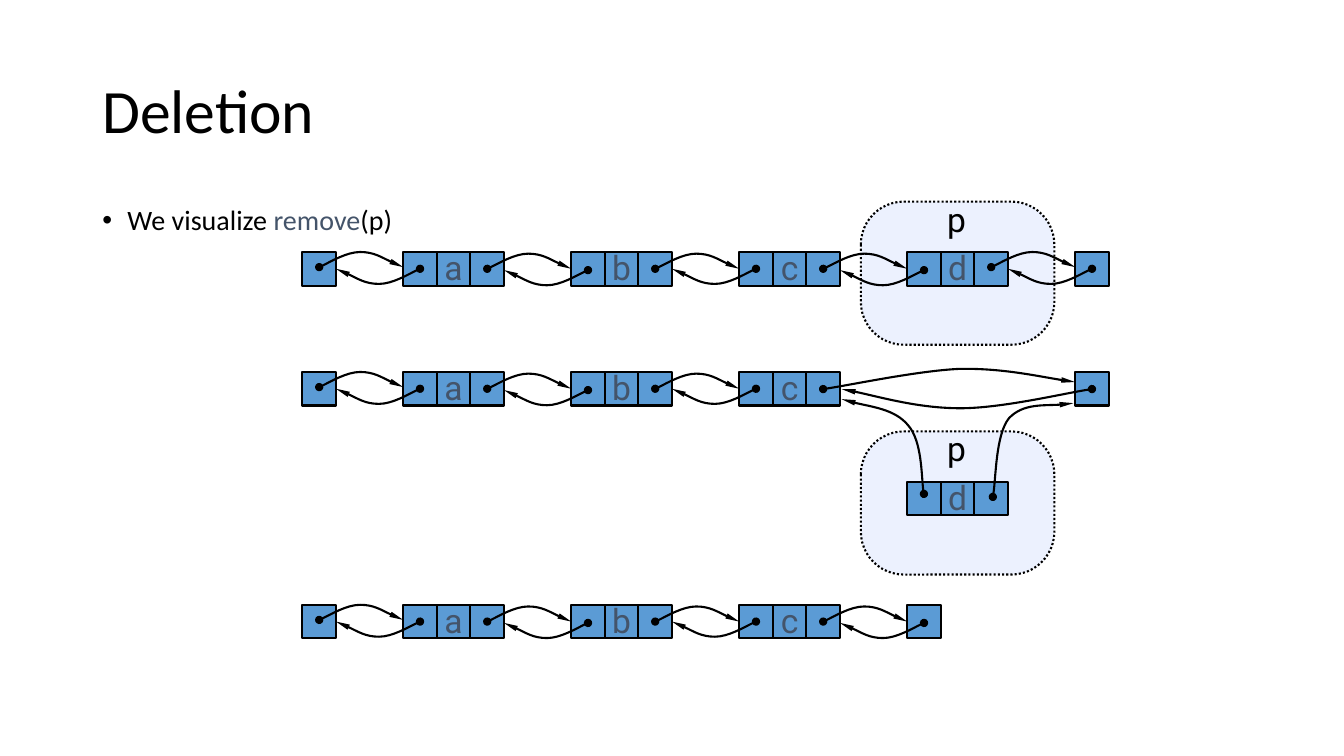
from lxml.etree import SubElement as Sub
from pptx import Presentation
from pptx.dml.color import RGBColor
from pptx.enum.dml import MSO_LINE as Dash
from pptx.enum.shapes import MSO_SHAPE as Kind
from pptx.enum.text import MSO_ANCHOR as Anchor, PP_ALIGN as Align
from pptx.oxml.ns import qn
from pptx.util import Inches, Pt

HEAD, FIRST, STEP = 9, 12, 5
INK, SLATE, BLUE, PALE = "000000", "44546A", "5B9BD5", "ECF1FE"
HUMP = [(0, 0), (0.2, -0.08), (0.82, -0.45), (1.22, -0.45),
        (1.63, -0.45), (2.22, -0.1), (2.5, 0)]
BYPASS = [
    [(24.5, 11.58), (25.17, 11.49), (27.3, 11.04), (28.53, 10.98),
     (29.79, 10.95), (31.29, 11.28), (32, 11.37)],
    [(32.5, 11.58), (31.83, 11.67), (29.82, 12.15), (28.59, 12.15),
     (27.33, 12.15), (25.77, 11.7), (25.05, 11.58)],
    [(27.5, 14.7), (27.42, 14.37), (27.45, 13.14), (27.03, 12.66),
     (26.64, 12.18), (25.47, 12.03), (25.05, 11.88)],
    [(29.55, 14.79), (29.64, 14.4), (29.64, 12.93), (30.03, 12.45),
     (30.45, 12), (31.56, 12.09), (31.95, 12)],
]


def grid(n):
    return Inches(n / 3)


def color(code):
    return RGBColor.from_string(code)


def style(shape, fill=None):
    shape.shadow.inherit = False
    if fill:
        shape.fill.solid()
        shape.fill.fore_color.rgb = color(fill)
    else:
        shape.fill.background()
    shape.line.color.rgb = color(INK)
    shape.line.width = Pt(1.5)


def block(slide, kind, fill, *area):
    shape = slide.shapes.add_shape(kind, *map(grid, area))
    style(shape, fill)
    return shape


def cell(slide, col, row):
    block(slide, Kind.RECTANGLE, BLUE, col, row, 1, 1)


def text(slide, area, runs, size, face, side=0.1, anchor=Anchor.TOP):
    box = slide.shapes.add_textbox(*map(grid, area))
    frame = box.text_frame
    frame.word_wrap = True
    frame.vertical_anchor = anchor
    frame.margin_left = frame.margin_right = Inches(side)
    para = frame.paragraphs[0]
    for words, tint in runs:
        run = para.add_run()
        run.text = words
        run.font.color.rgb = color(tint)
    return para, size, face


def dress(para, size, face):
    para.font.size = Pt(size)
    para.font.name = face


def label(slide, word, col, row, tint):
    item = text(slide, (col, row, 1.2, 1.5), [(word, tint)], 24, "Roboto", 0)
    item[0].alignment = Align.CENTER
    dress(*item)


def node(slide, word, col, row):
    for i in range(3):
        cell(slide, col + i, row)
    label(slide, word, col + 0.9, row - 0.3, SLATE)


def curve(slide, points):
    spots = [(grid(x), grid(y)) for x, y in points]
    pen = slide.shapes.build_freeform(*spots[0])
    pen.add_line_segments(spots[1:], close=False)
    shape = pen.convert_to_shape()
    style(shape)
    trace = next(shape.element.iter(qn("a:path")))
    legs = trace.findall(qn("a:lnTo"))
    for i in range(0, len(legs), 3):
        bend = Sub(trace, qn("a:cubicBezTo"))
        for leg in legs[i:i + 3]:
            bend.append(leg[0])
            trace.remove(leg)
    line = shape.line._get_or_add_ln()
    Sub(line, qn("a:headEnd"), type="oval", w="med", len="med")
    Sub(line, qn("a:tailEnd"), type="triangle", w="sm", len="lg")


def link(slide, i, row):
    left = HEAD + 0.5 + STEP * i
    rise = row + (0.45 if i in (0, 4) else 0.5)
    fall = row + 0.5 + 0.04 * (i % 2)
    curve(slide, [(left + x, rise + y) for x, y in HUMP])
    curve(slide, [(left + 3 - x, fall - y) for x, y in HUMP])


def chain(slide, words, row, end, links):
    cell(slide, HEAD, row)
    for i, word in enumerate(words):
        node(slide, word, FIRST + STEP * i, row)
    cell(slide, end, row)
    for i in range(links):
        link(slide, i, row)


def zone(slide, row):
    shape = block(slide, Kind.ROUNDED_RECTANGLE, PALE,
                  25.62, row - 1.5, 5.76, 4.26)
    shape.adjustments[0] = 0.3
    shape.line.dash_style = Dash.ROUND_DOT
    label(slide, "p", 27.87, row - 1.74, INK)


def heading(slide):
    item = text(slide, (2.75, 1.2, 34.5, 4.35), [("Deletion", INK)],
                44, "Calibri", anchor=Anchor.MIDDLE)
    item[0].line_spacing = 0.9
    dress(*item)


def bullet(slide):
    runs = [("We visualize ", INK), ("remove", SLATE), ("(p)", INK)]
    item = text(slide, (2.75, 6, 34.5, 14.28), runs, 20, "Calibri")
    para = item[0]
    para.line_spacing = 0.9
    props = para._p.get_or_add_pPr()
    props.set("marL", str(Inches(0.25)))
    props.set("indent", str(Inches(-0.25)))
    Sub(props, qn("a:buFont"), typeface="Arial")
    Sub(props, qn("a:buChar"), char="•")
    dress(*item)


def main():
    deck = Presentation()
    deck.slide_width, deck.slide_height = grid(40), grid(22.5)
    slide = deck.slides.add_slide(deck.slide_layouts[6])
    heading(slide)
    bullet(slide)
    zone(slide, 7.5)
    chain(slide, "abcd", 7.5, 32, 5)
    zone(slide, 14.34)
    node(slide, "d", 27, 14.34)
    chain(slide, "abc", 11.07, 32, 3)
    for points in BYPASS:
        curve(slide, points)
    chain(slide, "abc", 18, 27, 4)
    deck.save("out.pptx")


if __name__ == "__main__":
    main()
